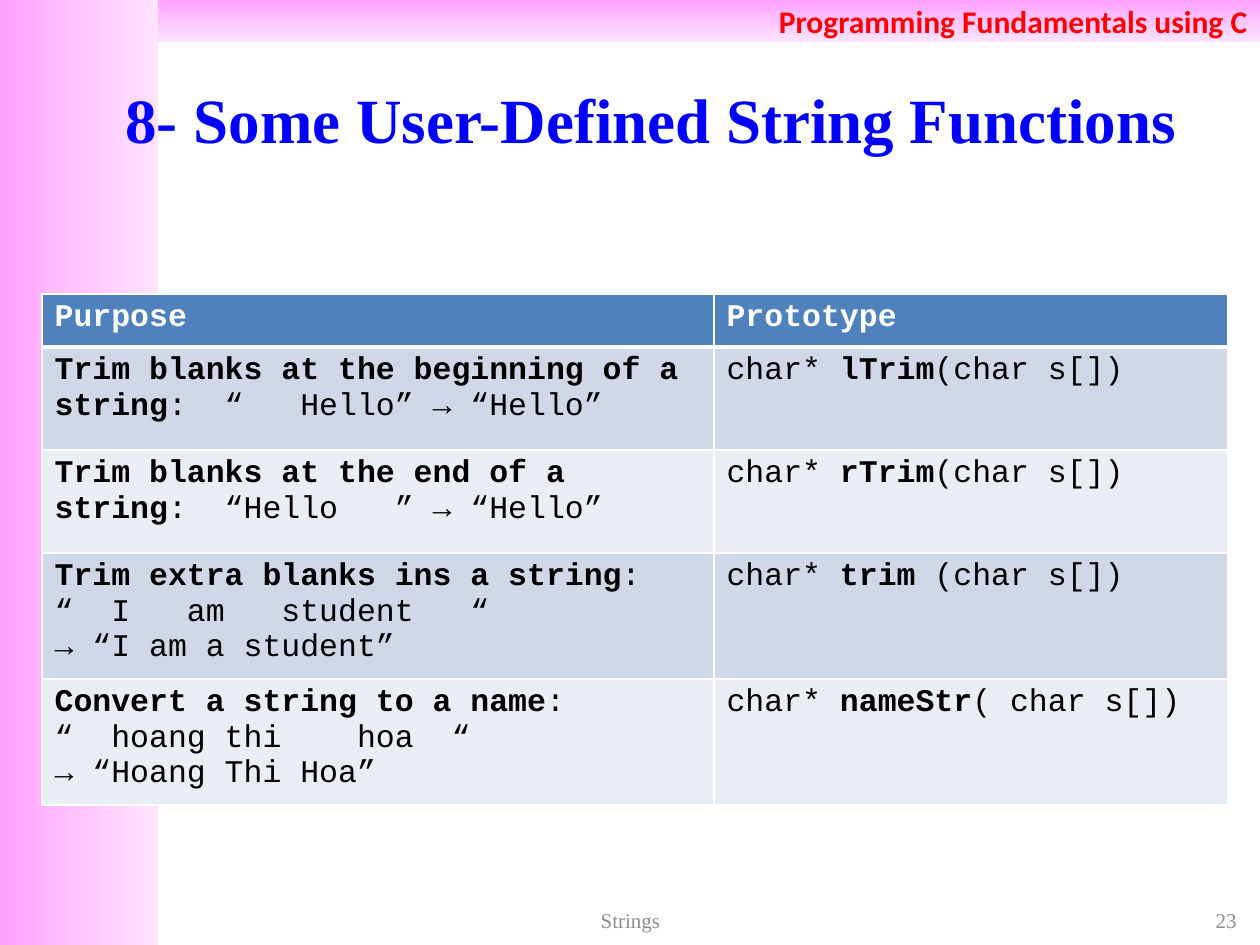
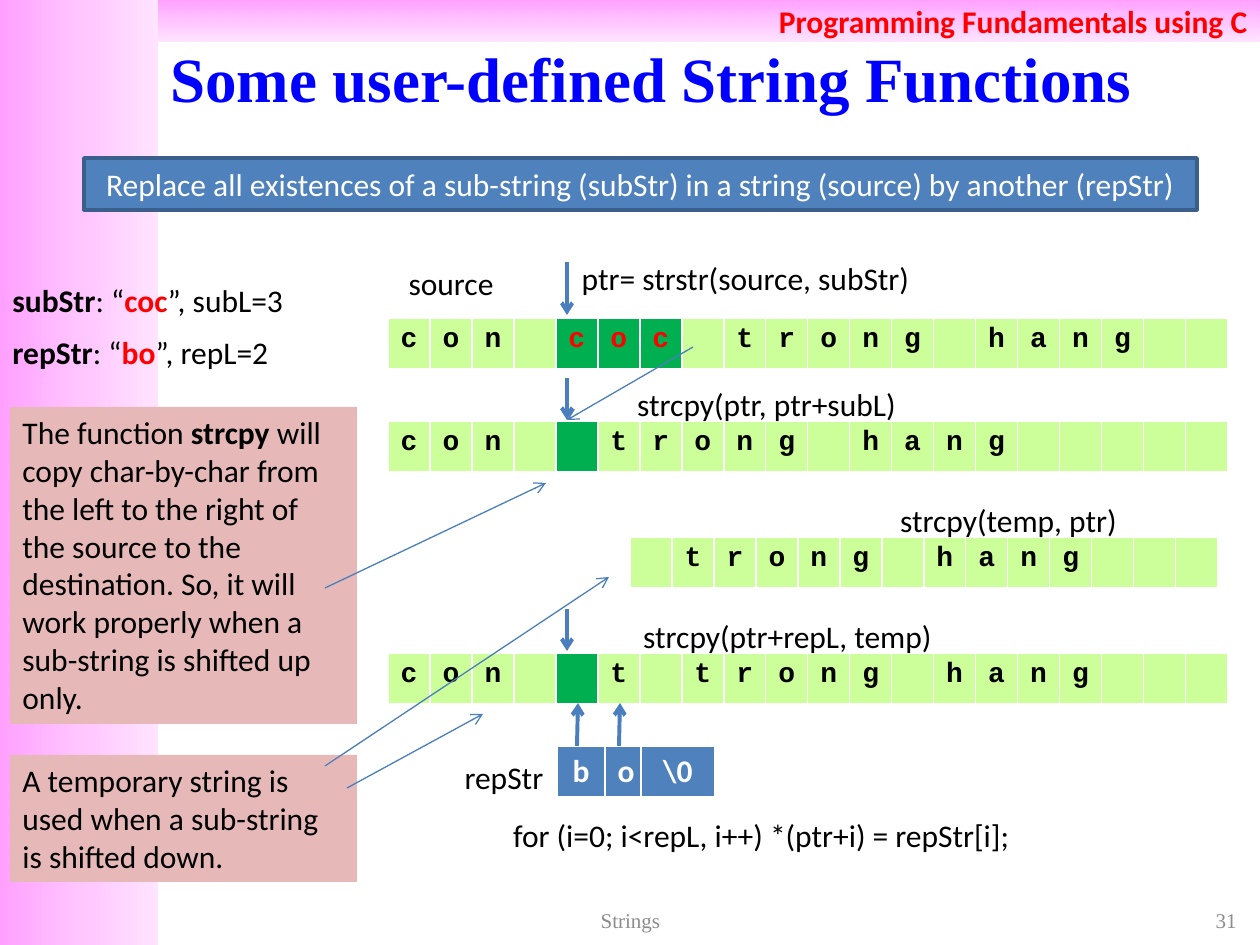
import copy
import pptx
import pptx.util
import pptx.dml.color
import pptx.enum.shapes
import pptx.enum.text
import pptx.oxml
import pptx.oxml.ns

PX = 914400 / 126
SANS, MONO, SERIF = "Calibri", "Courier New", "Times New Roman"
BLACK, WHITE, RED, TITLE, GREY = "000000", "FFFFFF", "FF0000", "0000FF", "8C8C8C"
BLUE, EDGE, ARROW, ROSE = "4F81BD", "3A5F8C", "4B7EBC", "E6B9B8"
LIME, GREEN = "CCFF99", "00B050"
BANDS = ["D0D8E8", "E9EDF4"]
PINKS = ["FFA0FF", "FFC5FF", "FFE3FF"]
ALIGN = pptx.enum.text.PP_ALIGN
ANCHOR = pptx.enum.text.MSO_ANCHOR
RECT = pptx.enum.shapes.MSO_SHAPE.RECTANGLE
CELL, ROW = 42, 52  # one letter of a string strip

PURPOSE = [
    ("|Trim blanks at the beginning of a string|:  “   Hello” → “Hello”",
     "char* |lTrim|(char s[])", 103),
    ("|Trim blanks at the end of a string|:  “Hello   ” → “Hello”",
     "char* |rTrim|(char s[])", 103),
    ("|Trim extra blanks ins a string|:\n“  I   am   student   “ \n→ “I am a student”",
     "char* |trim| (char s[])", 120),
    ("|Convert a string to a name|:\n“  hoang thi    hoa  “ \n→ “Hoang Thi Hoa”",
     "char* |nameStr|( char s[])", 120),
]
# left, top, letters, first green cell, number of green cells
STRIPS = [
    (388, 318, "con coc trong hang  ", 4, 3),
    (388, 421, "con  trong hang     ", 4, 1),
    (630, 537, " trong hang   ", 0, 0),
    (388, 653, "con  t trong hang   ", 4, 1),
]
LABELS = [
    (388, 262, 126, 42, "source"),
    (546, 262, 399, 32, "ptr= strstr(source, subStr)"),
    (567, 388, 399, 32, "strcpy(ptr, ptr+subL)"),
    (809, 504, 399, 32, "strcpy(temp, ptr)"),
    (588, 620, 399, 32, "strcpy(ptr+repL, temp)"),
    (399, 819, 725, 32, "for (i=0; i<repL, i++) *(ptr+i) = repStr[i];"),
    (441, 756, 126, 42, "repStr"),
]
THICK = [(567, 262, 567, 315), (567, 378, 567, 420), (567, 609, 567, 651),
         (577, 746, 578, 703), (619, 746, 620, 703)]
THIN = [(693, 347, 567, 420), (325, 588, 546, 483),
        (325, 766, 609, 577), (347, 788, 483, 714)]


def px(n):
    """Turn picture pixels into EMU."""
    return pptx.util.Emu(round(n * PX))


def rgb(code):
    """Turn a hex string into a colour."""
    return pptx.dml.color.RGBColor.from_string(code)


def write(frame, text, size, font=SANS, color=BLACK, align=ALIGN.LEFT,
          bold=False, anchor=ANCHOR.MIDDLE):
    """Fill a text frame; parts between bars are bold, lines are paragraphs."""
    frame.word_wrap = True
    frame.vertical_anchor = anchor
    for i, line in enumerate(text.split("\n")):
        para = frame.paragraphs[0] if i == 0 else frame.add_paragraph()
        para.alignment = align
        for j, part in enumerate(line.split("|")):
            if part:
                run = para.add_run()
                run.text = part
                run.font.size = pptx.util.Pt(size)
                run.font.name = font
                run.font.bold = bold or j % 2 == 1
                run.font.color.rgb = rgb(color)


def label(slide, x, y, w, h, text, size=18, **style):
    """Add a text box and return its frame."""
    frame = slide.shapes.add_textbox(px(x), px(y), px(w), px(h)).text_frame
    write(frame, text, size, **style)
    return frame


def block(slide, x, y, w, h, fill=None, line=None):
    """Add a plain rectangle."""
    shape = slide.shapes.add_shape(RECT, px(x), px(y), px(w), px(h))
    shape.shadow.inherit = False
    if fill:
        shape.fill.solid()
        shape.fill.fore_color.rgb = rgb(fill)
    if line:
        shape.line.color.rgb = rgb(line)
        shape.line.width = pptx.util.Pt(2)
    else:
        shape.line.fill.background()
    return shape


def fade(slide, x, y, w, h, angle):
    """Add a rectangle with the three-step pink gradient."""
    shape = block(slide, x, y, w, h)
    shape.fill.gradient()
    shape.fill.gradient_angle = angle
    stops = shape._element.spPr.find(".//" + pptx.oxml.ns.qn("a:gsLst"))
    stops.insert(1, copy.deepcopy(stops[0]))
    for i, stop in enumerate(shape.fill.gradient_stops):
        stop.position = i / 2
        stop.color.rgb = rgb(PINKS[i])
    return shape


def arrow(slide, x1, y1, x2, y2, width):
    """Add a line with an open arrowhead at its end."""
    link = slide.shapes.add_connector(
        pptx.enum.shapes.MSO_CONNECTOR.STRAIGHT, px(x1), px(y1), px(x2), px(y2))
    link.line.color.rgb = rgb(ARROW)
    link.line.width = pptx.util.Pt(width)
    ns = pptx.oxml.ns.nsdecls("a")
    link.line._ln.append(pptx.oxml.parse_xml(f'<a:tailEnd {ns} type="arrow"/>'))
    link._element.spPr.append(pptx.oxml.parse_xml(f"<a:effectLst {ns}/>"))


def paint(cell, fill, base):
    """Give a cell white borders and a fill; base is the lower border in points."""
    ns = pptx.oxml.ns.nsdecls("a")
    props = cell._tc.get_or_add_tcPr()
    for side, width in (("L", 1), ("R", 1), ("T", 1), ("B", base)):
        props.append(pptx.oxml.parse_xml(
            f'<a:ln{side} {ns} w="{width * 12700}"><a:solidFill>'
            f'<a:srgbClr val="{WHITE}"/></a:solidFill></a:ln{side}>'))
    cell.fill.solid()
    cell.fill.fore_color.rgb = rgb(fill)


def grid(slide, x, y, cols, rows):
    """Add a bare table with the given column widths and row heights."""
    table = slide.shapes.add_table(
        len(rows), len(cols), px(x), px(y), px(sum(cols)), px(sum(rows))).table
    table.horz_banding = False
    for col, w in zip(table.columns, cols):
        col.width = px(w)
    for row, h in zip(table.rows, rows):
        row.height = px(h)
    return table


def strip(slide, x, y, text, start, count):
    """Add a string as one row of letter cells, some of them green."""
    table = grid(slide, x, y, [CELL] * len(text), [ROW])
    for i, char in enumerate(text):
        cell = table.cell(0, i)
        mark = start <= i < start + count
        paint(cell, GREEN if mark else LIME, 3)
        write(cell.text_frame, char.strip(), 16, MONO, RED if mark else BLACK,
              bold=True, anchor=ANCHOR.TOP)


def start(deck, title, number, height):
    """Add a slide with bands, title and footer."""
    slide = deck.slides.add_slide(deck.slide_layouts[6])
    fade(slide, 0, 0, 158, 945, 0)
    head = fade(slide, 158, 0, 1102, 42, 270)
    write(head.text_frame, "Programming Fundamentals using C", 18,
          color=RED, align=ALIGN.RIGHT, bold=True)
    label(slide, 105, 38, 1092, height, title, 36, font=SERIF, color=TITLE,
          align=ALIGN.CENTER, bold=True)
    label(slide, 955, 903, 294, 34, number, 12, font=SERIF, color=GREY,
          align=ALIGN.RIGHT)
    label(slide, 431, 903, 399, 34, "Strings", 12, font=SERIF, color=GREY,
          align=ALIGN.CENTER)
    return slide


def list_slide(deck):
    """Build the slide that lists the functions."""
    slide = start(deck, "8- Some User-Defined String Functions", "23", 161)
    table = grid(slide, 42, 294, [672, 514], [53] + [row[2] for row in PURPOSE])
    for j, text in enumerate(("Purpose", "Prototype")):
        paint(table.cell(0, j), BLUE, 3)
        write(table.cell(0, j).text_frame, text, 18, MONO, WHITE, bold=True,
              anchor=ANCHOR.TOP)
    for i, row in enumerate(PURPOSE):
        for j in range(2):
            cell = table.cell(i + 1, j)
            paint(cell, BANDS[i % 2], 1)
            write(cell.text_frame, row[j], 18, MONO, anchor=ANCHOR.TOP)


def swap_slide(deck):
    """Build the slide that shows how a sub-string is replaced."""
    slide = start(deck, "Some user-defined String Functions", "31", 78)
    task = block(slide, 84, 158, 1113, 52, BLUE, EDGE)
    write(task.text_frame, "Replace all existences of a sub-string (subStr) "
          "in a string (source) by another (repStr)", 18, color=WHITE,
          align=ALIGN.CENTER)
    for row in STRIPS:
        strip(slide, *row)
    table = grid(slide, 557, 746, [48, 36, 74], [ROW])
    for i, text in enumerate(("b", "o", "\\0")):
        paint(table.cell(0, i), BLUE, 3)
        write(table.cell(0, i).text_frame, text, 18, color=WHITE,
              align=ALIGN.CENTER, bold=True, anchor=ANCHOR.TOP)
    for y, text in ((273, "|subStr|: “|coc|”, subL=3"),
                    (325, "|repStr|: “|bo|”, repL=2")):
        frame = label(slide, 0, y, 325, 53, text)
        frame.paragraphs[0].runs[2].font.color.rgb = rgb(RED)
    for row in LABELS:
        label(slide, *row, align=ALIGN.CENTER)
    for y, h, text in (
            (407, 317, "The function |strcpy| will copy char-by-char from the "
             "left to the right of the source to the destination. So, it will "
             "work properly when a sub-string is shifted up only."),
            (755, 127, "A temporary string is used when a sub-string is "
             "shifted down.")):
        note = block(slide, 10, y, 347, h, ROSE)
        write(note.text_frame, text, 18, anchor=ANCHOR.TOP)
    for ends in THICK:
        arrow(slide, *ends, 2.25)
    for ends in THIN:
        arrow(slide, *ends, 0.75)


def main():
    """Build both slides and save the deck."""
    deck = pptx.Presentation()
    deck.slide_width, deck.slide_height = px(1260), px(945)
    list_slide(deck)
    swap_slide(deck)
    deck.save("out.pptx")


main()
